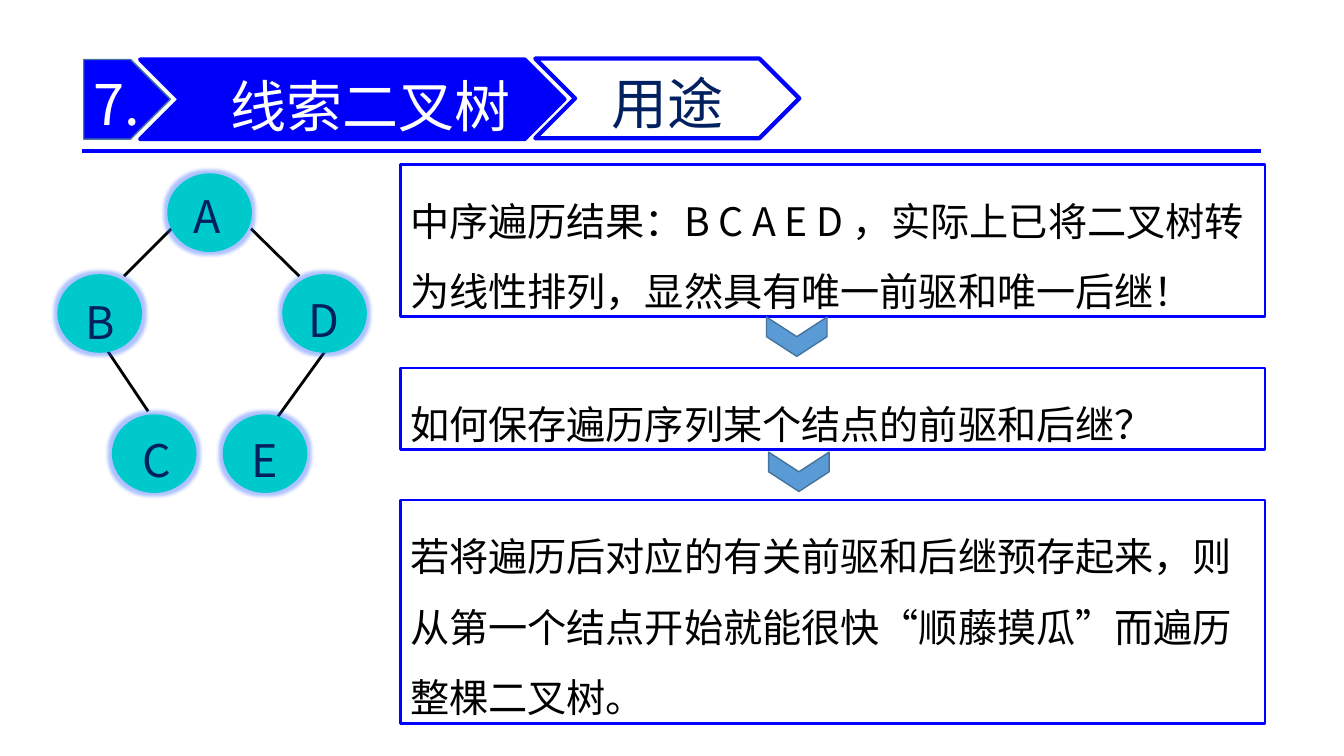
from dataclasses import dataclass

from lxml.etree import SubElement
from pptx import Presentation
from pptx.dml.color import RGBColor
from pptx.enum.shapes import MSO_CONNECTOR, MSO_SHAPE
from pptx.enum.text import MSO_ANCHOR, PP_ALIGN
from pptx.oxml.ns import qn
from pptx.util import Pt


@dataclass(frozen=True)
class Theme:
    font: str = "Noto Sans CJK SC"
    blue: str = "0000FF"
    title_blue: str = "0000FA"
    navy: str = "002060"
    node: str = "00C9CB"
    glow: str = "3366FF"
    arrow: str = "5B9BD5"
    arrow_edge: str = "43739E"
    white: str = "FFFFFF"
    black: str = "000000"
    title_size: int = 40
    node_size: int = 32
    body_size: int = 28
    line_height: float = 1.2


THEME = Theme()
FRAME_FORMAT = {"margin_left": Pt(7.2), "margin_right": Pt(0),
                "margin_top": Pt(6.4), "margin_bottom": Pt(0.8),
                "word_wrap": True, "vertical_anchor": MSO_ANCHOR.TOP}

NODE_WIDTH, NODE_HEIGHT = 60.5, 56.2
# letter: node left, node top, letter offset right, letter offset down
NODES = {
    "A": (119.5, 123.8, 11.5, 4.4),
    "B": (41, 195.8, 13, 8),
    "D": (201.6, 195.8, 11.5, 6.5),
    "E": (159.1, 295.9, 13.7, 6.5),
    "C": (79.9, 295.9, 15.1, 6.5),
}
EDGES = [
    (122.4, 163.4, 88.6, 197.3),
    (179.3, 163.4, 213.8, 197.3),
    (76.3, 249.8, 105.8, 293.8),
    (234, 248.4, 195.1, 302.4),
]
STATEMENTS = [
    (117.4, 108.7, "中序遍历结果：B C A E D ，实际上已将二叉树转为线性排列，"
                   "显然具有唯一前驱和唯一后继！"),
    (262.8, 58.3, "如何保存遍历序列某个结点的前驱和后继？"),
    (357.1, 159.8, "若将遍历后对应的有关前驱和后继预存起来，则从第一个结点开始"
                   "就能很快“顺藤摸瓜”而遍历整棵二叉树。"),
]
DOWN_ARROWS = [(555.1, 218.9), (556.6, 315.4)]


def rgb(color):
    return RGBColor.from_string(color)


def add_outline(slide, kind, box, fill=None, edge=None, weight=1):
    """Add a preset shape; without a fill or edge colour that part is empty."""
    outline = slide.shapes.add_shape(kind, *map(Pt, box))
    outline.shadow.inherit = False
    if fill:
        outline.fill.solid()
        outline.fill.fore_color.rgb = rgb(fill)
    else:
        outline.fill.background()
    if edge:
        outline.line.color.rgb = rgb(edge)
        outline.line.width = Pt(weight)
    else:
        outline.line.fill.background()
    return outline


def write(holder, wording, size, color, align=PP_ALIGN.LEFT, spacing=1, **changes):
    frame = holder.text_frame
    for name, value in {**FRAME_FORMAT, **changes}.items():
        setattr(frame, name, value)
    paragraph = frame.paragraphs[0]
    paragraph.alignment = align
    paragraph.line_spacing = Pt(round(size * THEME.line_height * spacing, 1))
    run = paragraph.add_run()
    run.text = wording
    for name, value in {"size": Pt(size), "name": THEME.font}.items():
        setattr(run.font, name, value)
    run.font.color.rgb = rgb(color)
    properties = run._r.get_or_add_rPr()
    properties.set("lang", "zh-CN")
    SubElement(properties, qn("a:ea")).set("typeface", THEME.font)


def add_text(slide, box, wording, size, color, **options):
    write(slide.shapes.add_textbox(*map(Pt, box)), wording, size, color, **options)


def add_line(slide, ends, color, weight):
    line = slide.shapes.add_connector(MSO_CONNECTOR.STRAIGHT, *map(Pt, ends))
    line.line.color.rgb = rgb(color)
    line.line.width = Pt(weight)
    SubElement(line._element.spPr, qn("a:effectLst"))


def add_glow(outline, color, radius, opacity):
    effects = outline._element.spPr.find(qn("a:effectLst"))
    glow = SubElement(effects, qn("a:glow"), rad=str(Pt(radius)))
    tint = SubElement(glow, qn("a:srgbClr"), val=color)
    SubElement(tint, qn("a:alpha"), val=str(opacity * 1000))


def add_heading(slide):
    size, middle = THEME.title_size, MSO_ANCHOR.MIDDLE
    add_line(slide, (58.3, 108, 900.7, 108), THEME.blue, 3)
    topic = add_outline(slide, MSO_SHAPE.CHEVRON, (382.3, 41.8, 188.6, 56.9),
                        THEME.white, THEME.blue, 3)
    write(topic, "用途", size, THEME.navy, PP_ALIGN.CENTER,
          vertical_anchor=middle, margin_left=Pt(0))
    number = add_outline(slide, MSO_SHAPE.PENTAGON, (59.8, 42.5, 61.9, 56.9),
                         THEME.blue, THEME.arrow_edge)
    write(number, "7.", size, THEME.white, vertical_anchor=middle)
    add_outline(slide, MSO_SHAPE.CHEVRON, (100.1, 42.5, 303.1, 56.9),
                THEME.title_blue, THEME.blue, 3)
    add_text(slide, (131, 33.1, 264.2, 77.8), "线索二叉树", size, THEME.white,
             align=PP_ALIGN.CENTER, vertical_anchor=middle, margin_left=Pt(2.9))


def add_tree(slide):
    for edge in EDGES:
        add_line(slide, edge, THEME.black, 2)
    for letter, (left, top, right, down) in NODES.items():
        node = add_outline(slide, MSO_SHAPE.OVAL,
                           (left, top, NODE_WIDTH, NODE_HEIGHT), THEME.node)
        add_glow(node, THEME.glow, radius=5, opacity=40)
        add_text(slide, (left + right, top + down, 45, 46), letter,
                 THEME.node_size, THEME.navy)


def add_statements(slide):
    for top, height, wording in STATEMENTS:
        statement = add_outline(slide, MSO_SHAPE.RECTANGLE,
                                (285.8, top, 617.8, height), edge=THEME.blue, weight=2)
        write(statement, wording, THEME.body_size, THEME.black, spacing=1.5,
              margin_right=Pt(7.2))
    for left, top in DOWN_ARROWS:
        arrow = add_outline(slide, MSO_SHAPE.CHEVRON, (left, top, 28.1, 43.2),
                            THEME.arrow, THEME.arrow_edge)
        arrow.rotation = 90


def main():
    deck = Presentation()
    deck.slide_width, deck.slide_height = Pt(960), Pt(540)
    slide = deck.slides.add_slide(deck.slide_layouts[6])
    add_heading(slide)
    add_tree(slide)
    add_statements(slide)
    deck.save("out.pptx")


if __name__ == "__main__":
    main()
